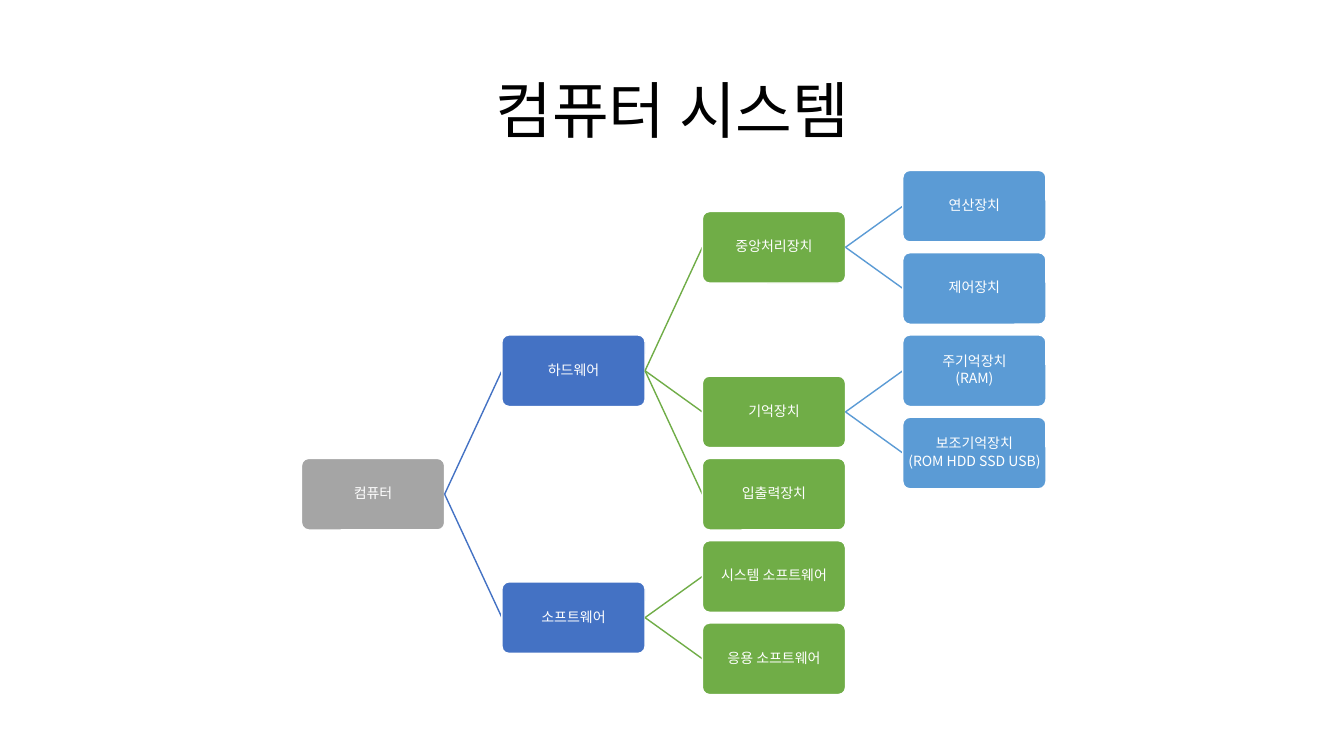
from dataclasses import dataclass, field

from pptx import Presentation
from pptx.dml.color import RGBColor
from pptx.enum.shapes import MSO_CONNECTOR, MSO_SHAPE
from pptx.enum.text import MSO_ANCHOR as Anchor, PP_ALIGN as Align
from pptx.oxml.ns import qn
from pptx.util import Inches, Pt

FONT = "Noto Sans CJK KR"
BLACK, WHITE = "000000", "FFFFFF"
LEVEL_COLORS = ["A5A5A5", "4472C4", "70AD47", "5B9BD5"]

# Box size and the spacing derived from it, in inches
LEFT, TOP = 2.99, 1.69
BOX_HEIGHT = 0.71
BOX_WIDTH = 2 * BOX_HEIGHT
COLUMN_STEP = 1.4 * BOX_WIDTH
ROW_STEP = 1.15 * BOX_HEIGHT


@dataclass
class Node:
    label: str
    children: list = field(default_factory=list)
    row: float = 0


def build_tree():
    return Node("컴퓨터", [
        Node("하드웨어", [
            Node("중앙처리장치", [Node("연산장치"), Node("제어장치")]),
            Node("기억장치", [
                Node("주기억장치\n(RAM)"),
                Node("보조기억장치\n(ROM HDD SSD USB)"),
            ]),
            Node("입출력장치"),
        ]),
        Node("소프트웨어", [
            Node("시스템 소프트웨어"),
            Node("응용 소프트웨어"),
        ]),
    ])


def assign_rows(node, level, last_rows):
    """A leaf goes one row below its column; a parent is centred on its children."""
    for child in node.children:
        assign_rows(child, level + 1, last_rows)
    if node.children:
        node.row = (node.children[0].row + node.children[-1].row) / 2
    else:
        node.row = last_rows.get(level, -1) + 1
    last_rows[level] = node.row


def color(value):
    return RGBColor.from_string(value)


def write_text(shape, text, size, text_color, margin, space_after=0):
    frame = shape.text_frame
    frame.word_wrap = True
    frame.vertical_anchor = Anchor.MIDDLE
    frame.margin_left = frame.margin_right = Inches(margin)
    frame.margin_top = frame.margin_bottom = Inches(margin)
    for index, line in enumerate(text.split("\n")):
        paragraph = frame.add_paragraph() if index else frame.paragraphs[0]
        paragraph.alignment = Align.CENTER
        paragraph.line_spacing = 0.9
        paragraph.space_after = Pt(space_after)
        run = paragraph.add_run()
        run.text = line
        run.font.name = FONT
        run.font.size = Pt(size)
        run.font.color.rgb = color(text_color)
        # Korean glyphs take the East Asian typeface
        east_asian = run.font._element.makeelement(qn("a:ea"), {"typeface": FONT})
        run.font._element.append(east_asian)


def add_title(slide, text):
    title = slide.shapes.add_textbox(Inches(0.92), Inches(0.4), Inches(11.5), Inches(1.45))
    write_text(title, text, 44, BLACK, 0.05)


def box_position(node, level):
    return LEFT + level * COLUMN_STEP, TOP + node.row * ROW_STEP


def add_box(slide, node, level):
    left, top = box_position(node, level)
    box = slide.shapes.add_shape(
        MSO_SHAPE.ROUNDED_RECTANGLE,
        Inches(left), Inches(top), Inches(BOX_WIDTH), Inches(BOX_HEIGHT))
    box.adjustments[0] = 0.1
    box.shadow.inherit = False
    box.fill.solid()
    box.fill.fore_color.rgb = color(LEVEL_COLORS[level])
    box.line.color.rgb = color(WHITE)
    box.line.width = Pt(1)
    write_text(box, node.label, 10, WHITE, 0.03, 1.5)


def add_branch(slide, parent, child, child_level):
    parent_left, parent_top = box_position(parent, child_level - 1)
    child_left, child_top = box_position(child, child_level)
    branch = slide.shapes.add_connector(
        MSO_CONNECTOR.STRAIGHT,
        Inches(parent_left + BOX_WIDTH), Inches(parent_top + BOX_HEIGHT / 2),
        Inches(child_left), Inches(child_top + BOX_HEIGHT / 2))
    branch.line.color.rgb = color(LEVEL_COLORS[child_level])
    branch.line.width = Pt(1)
    properties = branch._element.spPr
    properties.append(properties.makeelement(qn("a:effectLst"), {}))


def draw_tree(slide, node, level=0):
    add_box(slide, node, level)
    for child in node.children:
        add_branch(slide, node, child, level + 1)
        draw_tree(slide, child, level + 1)


def main():
    presentation = Presentation()
    presentation.slide_width = Inches(13.33)
    presentation.slide_height = Inches(7.5)
    slide = presentation.slides.add_slide(presentation.slide_layouts[6])

    # Title
    add_title(slide, "컴퓨터 시스템")

    # Hierarchy of the computer system
    computer = build_tree()
    assign_rows(computer, 0, {})
    draw_tree(slide, computer)

    presentation.save("out.pptx")


if __name__ == "__main__":
    main()
